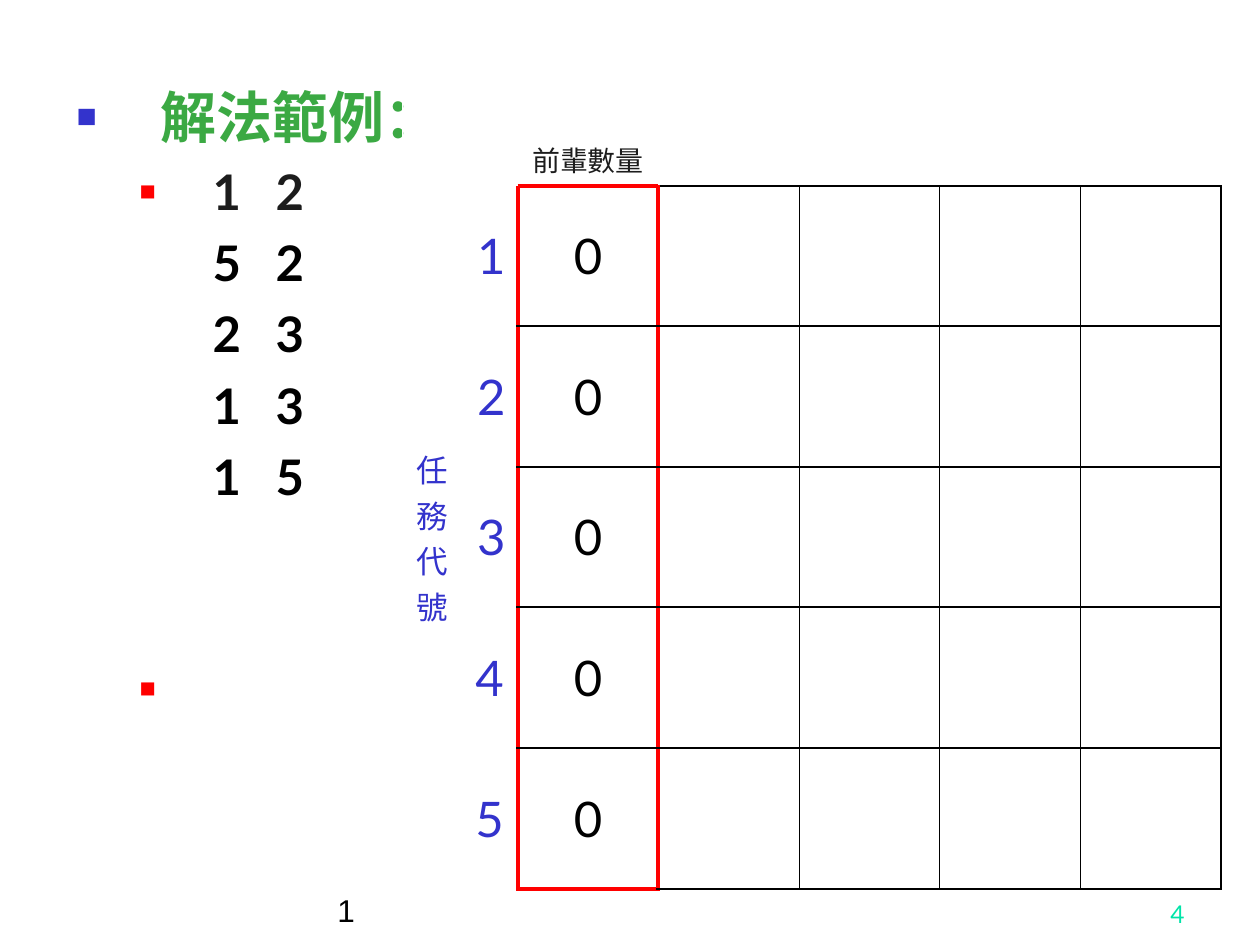
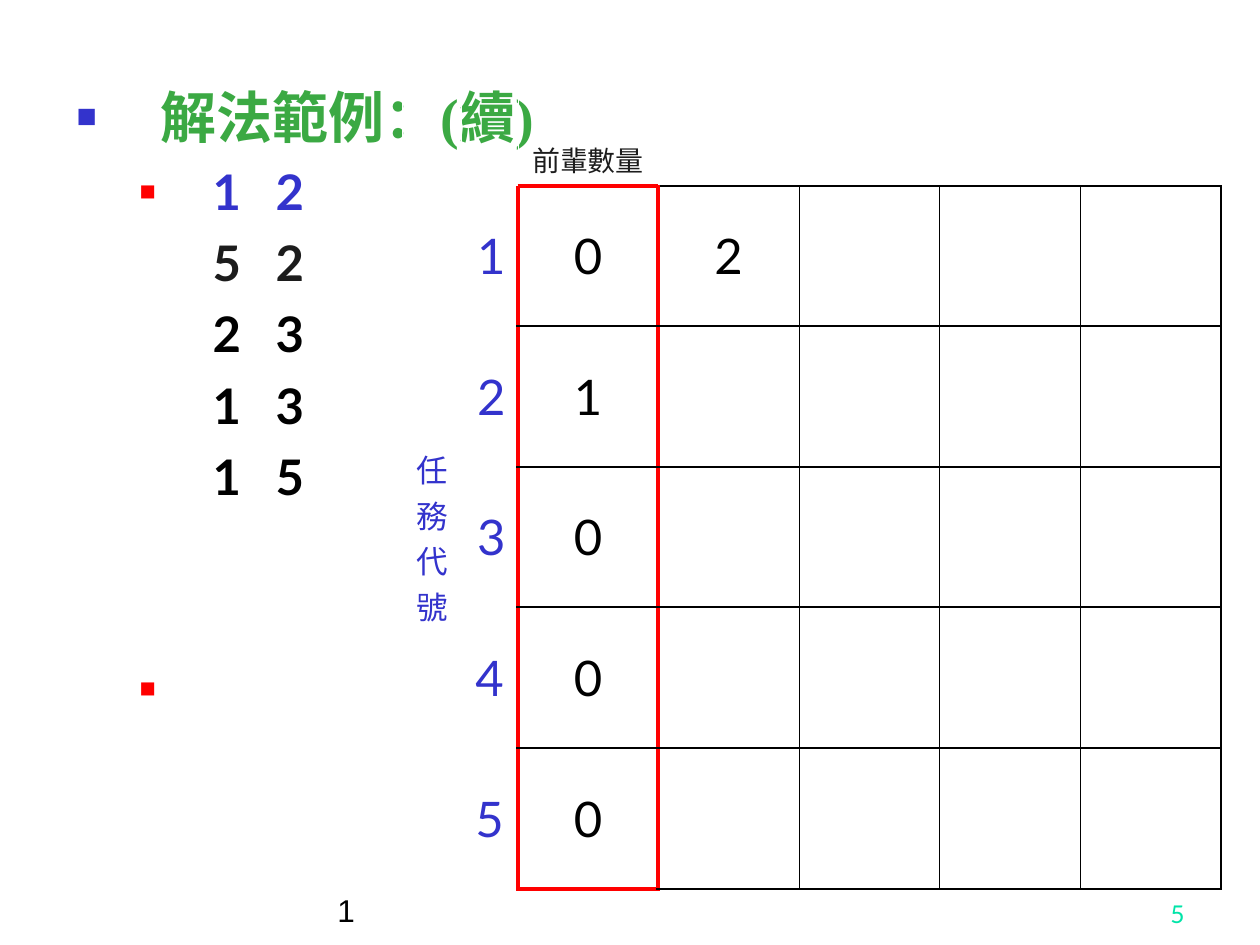
from lxml import etree
from pptx import Presentation
from pptx.dml.color import RGBColor
from pptx.enum.text import MSO_ANCHOR, MSO_AUTO_SIZE, PP_ALIGN
from pptx.oxml.ns import qn
from pptx.util import Pt

PX = 914400 // 126
GREEN = RGBColor(0x3B, 0xA9, 0x43)
BLUE = RGBColor(0x33, 0x33, 0xCC)
RED = RGBColor(0xFF, 0x00, 0x00)
BLACK = RGBColor(0x00, 0x00, 0x00)
WHITE = RGBColor(0xFF, 0xFF, 0xFF)
INK = RGBColor(0x1C, 0x1C, 0x1C)
MINT = RGBColor(0x00, 0xE4, 0xA8)

LEFT, CENTER, RIGHT = PP_ALIGN.LEFT, PP_ALIGN.CENTER, PP_ALIGN.RIGHT
MIDDLE, BOTTOM = MSO_ANCHOR.MIDDLE, MSO_ANCHOR.BOTTOM
NO_AUTOFIT = MSO_AUTO_SIZE.NONE

PAIRS = ["1\t2", "5\t2", "2\t3", "1\t3", "1\t5"]
TASKS = 5
GRID_SIZE = 703
PAIR_INDENT, PAIR_GAP = 136, 63
SLIDES = [
    ("解法範例：", [["0"], ["0"], ["0"], ["0"], ["0"]], 0, "4"),
    ("解法範例：(續)", [["0", "2"], ["1"], ["0"], ["0"], ["0"]], 1, "5"),
]


def px(*lengths):
    """Turn pixel lengths into EMU."""
    return [length * PX for length in lengths]


def sub(parent, tag, **attrs):
    """Append a DrawingML child element."""
    return etree.SubElement(parent, qn(tag), {k: str(v) for k, v in attrs.items()})


def style(p, size, color, font="Lato", bold=False, align=LEFT):
    """Format a paragraph and its runs."""
    p.alignment = align
    for r in p.runs:
        r.font.size = Pt(size)
        r.font.name = font
        r.font.bold = bold
        r.font.color.rgb = color


def set_bullet(p, indent, hanging, color=None, percent=100):
    """Indent a paragraph and give it a square bullet, or none."""
    pPr = p._p.get_or_add_pPr()
    pPr.set("marL", str(indent * PX))
    pPr.set("indent", str(-hanging * PX if color else 0))
    if color is None:
        sub(pPr, "a:buNone")
        return
    sub(sub(pPr, "a:buClr"), "a:srgbClr", val=color)
    sub(pPr, "a:buSzPct", val=percent * 1000)
    sub(pPr, "a:buFont", typeface="Arial")
    sub(pPr, "a:buChar", char="■")


def set_tabs(p, *stops):
    """Set left tab stops."""
    tabs = sub(p._p.get_or_add_pPr(), "a:tabLst")
    for stop in stops:
        sub(tabs, "a:tab", pos=stop * PX, algn="l")


def add_pair(tf, text, color, bulleted, before=7):
    """Add one second-level line to the list."""
    p = tf.add_paragraph()
    p.text = text
    p.level = 1
    set_bullet(p, PAIR_INDENT, 73, RED if bulleted else None, 55)
    set_tabs(p, PAIR_GAP, PAIR_INDENT + PAIR_GAP)
    p.space_before = Pt(before)
    style(p, 28, color, bold=True)


def fill_body(slide, heading, done):
    """Write the heading and the pairs, coloured by progress."""
    title = slide.shapes.title
    title.element.getparent().remove(title.element)
    body = slide.placeholders[1]
    body.left, body.top, body.width, body.height = px(64, 76, 1131, 804)
    tf = body.text_frame
    tf.auto_size = NO_AUTOFIT
    p = tf.paragraphs[0]
    p.text = heading
    set_bullet(p, 84, 84, BLUE, 60)
    p.space_before = Pt(0)
    style(p, 32, GREEN, "Times New Roman", True)
    for i, pair in enumerate(PAIRS):
        color = BLUE if i < done else INK if i == done else BLACK
        add_pair(tf, pair, color, i == 0)
    add_pair(tf, " ", BLACK, True, 88)


def column_edge(row, col):
    """Return colour and width of the line left of a cell."""
    if row == 0 or col < 2:
        return WHITE, 0.34
    if col in (2, 3):
        return RED, 2.21
    return BLACK, 1.08 if col == TASKS + 2 else 0.45


def row_edge(row, col):
    """Return colour and width of the line above a cell."""
    if row == 0 or col < 2:
        return WHITE, 0.34
    if row in (1, TASKS + 1):
        return (RED, 2.21) if col == 2 else (BLACK, 1.08)
    return BLACK, 1.47


def set_borders(cell, row, col):
    """Draw the four edges of a cell and clear its fill."""
    edges = {
        "a:lnL": column_edge(row, col),
        "a:lnR": column_edge(row, col + 1),
        "a:lnT": row_edge(row, col),
        "a:lnB": row_edge(row + 1, col),
    }
    tcPr = cell._tc.get_or_add_tcPr()
    for tag, (color, width) in edges.items():
        ln = sub(tcPr, tag, w=Pt(width))
        sub(sub(ln, "a:solidFill"), "a:srgbClr", val=color)
    cell.fill.background()


def set_cell(cell, text, size, color, align=CENTER, anchor=MIDDLE):
    """Write text into a cell."""
    cell.text = text
    cell.vertical_anchor = anchor
    style(cell.text_frame.paragraphs[0], size, color, align=align)


def add_task_table(slide, values):
    """Add the table of predecessor counts and successors per task."""
    steps = [GRID_SIZE * (i + 1) // TASKS - GRID_SIZE * i // TASKS for i in range(TASKS)]
    widths, heights = [59, 57] + steps, [141] + steps
    frame = slide.shapes.add_table(len(heights), len(widths),
                                   *px(402, 45, sum(widths), sum(heights)))
    table = frame.table
    table.first_row = table.horz_banding = False
    for column, width in zip(table.columns, px(*widths)):
        column.width = width
    for row, height in zip(table.rows, px(*heights)):
        row.height = height
    for r in range(len(heights)):
        for c in range(len(widths)):
            set_borders(table.cell(r, c), r, c)
    table.cell(0, 4).merge(table.cell(0, 6))
    table.cell(1, 0).merge(table.cell(TASKS, 0))
    set_cell(table.cell(0, 2), "前輩數量", 16, INK, anchor=BOTTOM)
    set_cell(table.cell(1, 0), "任務代號", 18, BLUE, RIGHT)
    for task, counts in enumerate(values, 1):
        set_cell(table.cell(task, 1), str(task), 28, BLUE, RIGHT if task < 4 else CENTER)
        for c, value in enumerate(counts, 2):
            set_cell(table.cell(task, c), value, 28, BLACK)


def add_footer(slide, text, left, width, size, color, font, align):
    """Add a text box on the footer line."""
    tf = slide.shapes.add_textbox(*px(left, 872, width, 63)).text_frame
    tf.word_wrap = True
    tf.vertical_anchor = BOTTOM
    tf.text = text
    style(tf.paragraphs[0], size, color, font, align=align)


def main():
    """Build the slides and save them."""
    prs = Presentation()
    prs.slide_width, prs.slide_height = px(1260, 945)
    for heading, values, done, number in SLIDES:
        slide = prs.slides.add_slide(prs.slide_layouts[1])
        fill_body(slide, heading, done)
        add_task_table(slide, values)
        add_footer(slide, "1", 325, 683, 18, BLACK, "Arial", LEFT)
        add_footer(slide, number, 935, 262, 14, MINT, "Lato", RIGHT)
    prs.save("out.pptx")


if __name__ == "__main__":
    main()
